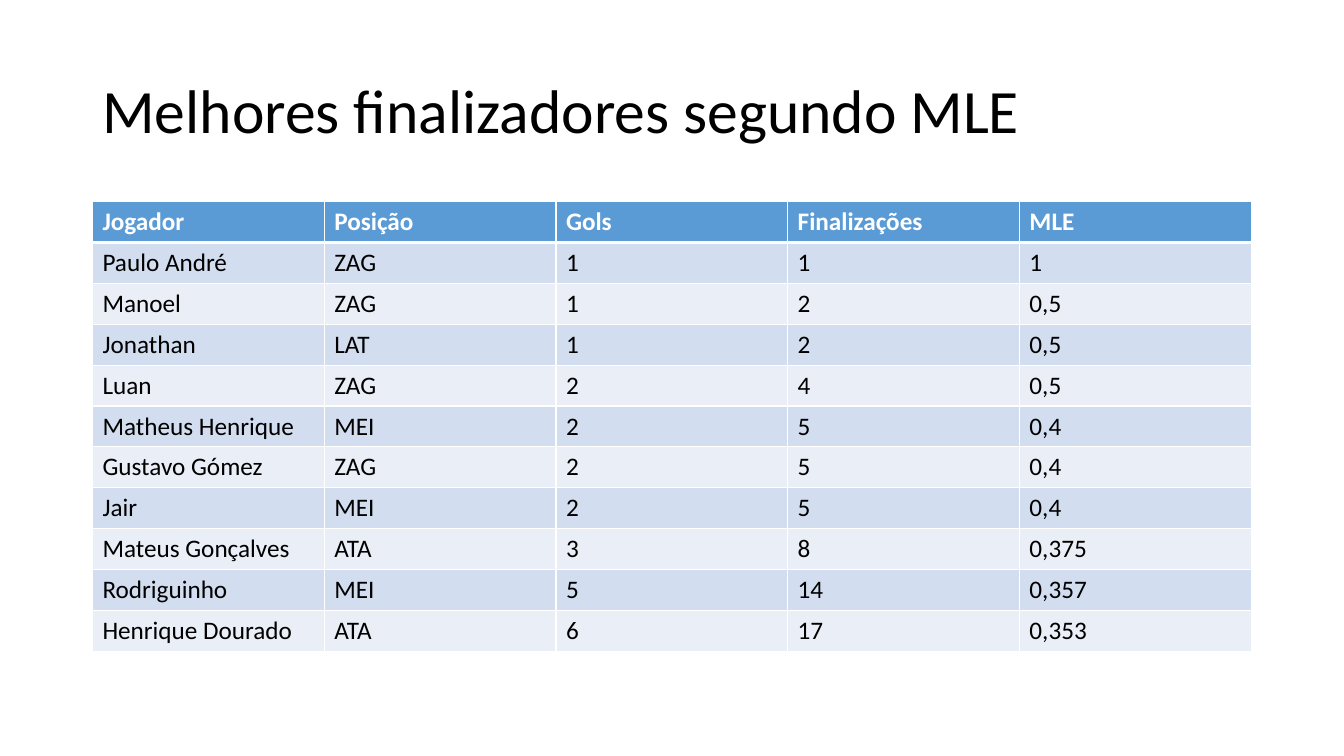
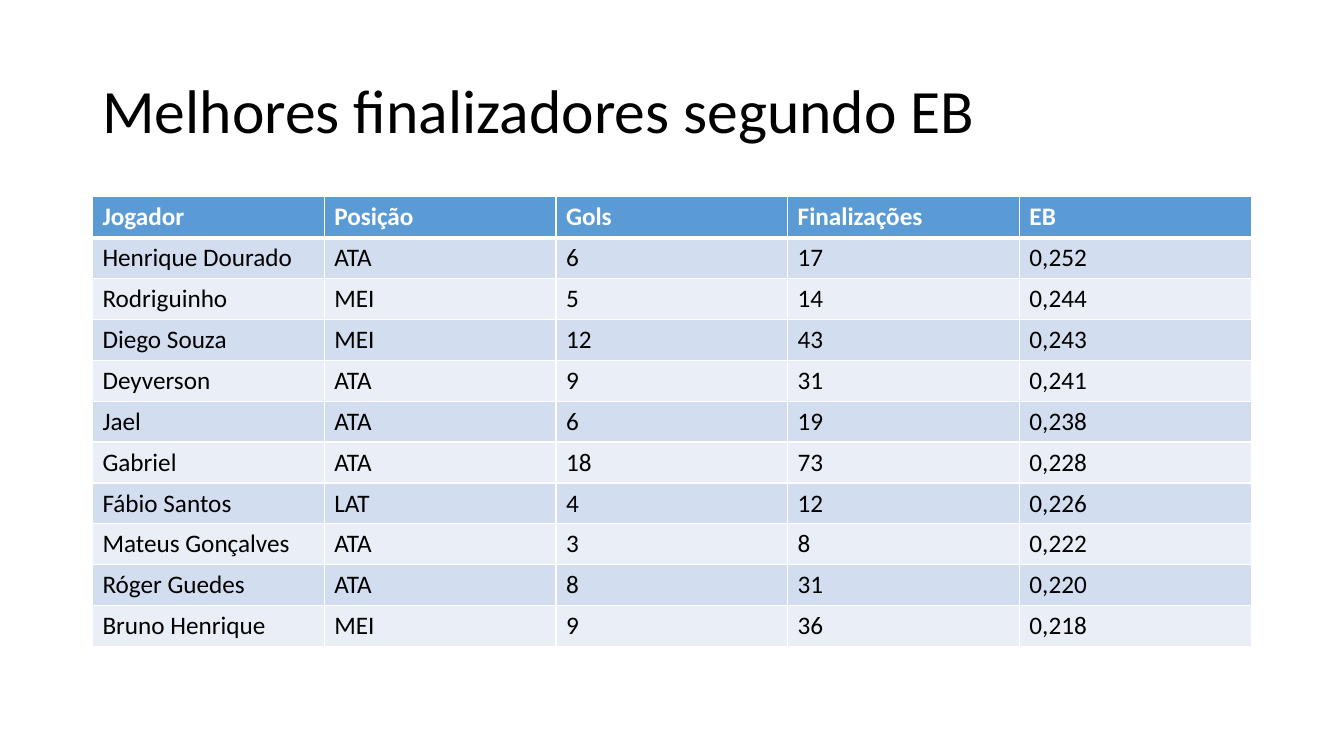
"""Build two ranking slides of the best finishers, by MLE and by EB."""
from dataclasses import dataclass
from typing import NamedTuple

from lxml import etree
from pptx import Presentation
from pptx import presentation as prs
from pptx import table as tbl
from pptx import util as u
from pptx.dml import color
from pptx.enum import text
from pptx.oxml import ns
from pptx.text import text as txt


@dataclass(frozen=True)
class Theme:
    font: str = "Calibri"
    title_size: float = 44
    table_size: float = 18
    ink: str = "000000"
    header_ink: str = "FFFFFF"
    header_fill: str = "5B9BD5"
    bands: tuple[str, str] = ("D2DEEF", "EAEFF7")
    rule: str = "FFFFFF"
    thin: float = 1
    thick: float = 3


class Finisher(NamedTuple):
    player: str
    position: str
    goals: int
    shots: int
    score: str


@dataclass(frozen=True)
class Ranking:
    method: str
    top: float
    finishers: tuple[Finisher, ...]


THEME = Theme()
LEFT, WIDTH = 2.33, 29.2
TITLE_TOP, TITLE_HEIGHT = 1.01, 3.68
ROW_HEIGHT = 1.03

RANKINGS = (
    Ranking("MLE", 5.08, (
        Finisher("Paulo André", "ZAG", 1, 1, "1"),
        Finisher("Manoel", "ZAG", 1, 2, "0,5"),
        Finisher("Jonathan", "LAT", 1, 2, "0,5"),
        Finisher("Luan", "ZAG", 2, 4, "0,5"),
        Finisher("Matheus Henrique", "MEI", 2, 5, "0,4"),
        Finisher("Gustavo Gómez", "ZAG", 2, 5, "0,4"),
        Finisher("Jair", "MEI", 2, 5, "0,4"),
        Finisher("Mateus Gonçalves", "ATA", 3, 8, "0,375"),
        Finisher("Rodriguinho", "MEI", 5, 14, "0,357"),
        Finisher("Henrique Dourado", "ATA", 6, 17, "0,353"),
    )),
    Ranking("EB", 4.96, (
        Finisher("Henrique Dourado", "ATA", 6, 17, "0,252"),
        Finisher("Rodriguinho", "MEI", 5, 14, "0,244"),
        Finisher("Diego Souza", "MEI", 12, 43, "0,243"),
        Finisher("Deyverson", "ATA", 9, 31, "0,241"),
        Finisher("Jael", "ATA", 6, 19, "0,238"),
        Finisher("Gabriel", "ATA", 18, 73, "0,228"),
        Finisher("Fábio Santos", "LAT", 4, 12, "0,226"),
        Finisher("Mateus Gonçalves", "ATA", 3, 8, "0,222"),
        Finisher("Róger Guedes", "ATA", 8, 31, "0,220"),
        Finisher("Bruno Henrique", "MEI", 9, 36, "0,218"),
    )),
)


def write(frame: txt.TextFrame, words: str, *, size: float = THEME.table_size,
          ink: str = THEME.ink, bold: bool = False, spacing: float = 1.0) -> None:
    """Put one formatted paragraph into a text frame."""
    paragraph = frame.paragraphs[0]
    paragraph.line_spacing = spacing
    run = paragraph.add_run()
    run.text = words
    run.font.name = THEME.font
    run.font.size = u.Pt(size)
    run.font.bold = bold
    run.font.color.rgb = color.RGBColor.from_string(ink)


def rule_cell(cell: tbl._Cell, *, top: float, bottom: float) -> None:
    """Draw the four borders of a cell, with widths in points."""
    properties = cell._tc.get_or_add_tcPr()
    widths = {"L": THEME.thin, "R": THEME.thin, "T": top, "B": bottom}
    for index, (side, width) in enumerate(widths.items()):
        line = etree.Element(ns.qn(f"a:ln{side}"), w=str(u.Pt(width)))
        fill = etree.SubElement(line, ns.qn("a:solidFill"))
        etree.SubElement(fill, ns.qn("a:srgbClr"), val=THEME.rule)
        properties.insert(index, line)


def fill_row(table: tbl.Table, row: int, values: tuple) -> None:
    """Write and style one row; row 0 is the header."""
    header = row == 0
    fill = THEME.header_fill if header else THEME.bands[(row - 1) % 2]
    ink = THEME.header_ink if header else THEME.ink
    for column, value in enumerate(values):
        cell = table.cell(row, column)
        cell.fill.solid()
        cell.fill.fore_color.rgb = color.RGBColor.from_string(fill)
        rule_cell(cell, top=THEME.thick if row == 1 else THEME.thin,
                  bottom=THEME.thick if header else THEME.thin)
        write(cell.text_frame, str(value), ink=ink, bold=header)


def add_ranking(deck: prs.Presentation, ranking: Ranking) -> None:
    """Add one slide with its title and ranking table."""
    slide = deck.slides.add_slide(deck.slide_layouts[6])
    title = slide.shapes.add_textbox(u.Cm(LEFT), u.Cm(TITLE_TOP),
                                     u.Cm(WIDTH), u.Cm(TITLE_HEIGHT)).text_frame
    title.word_wrap = True
    title.vertical_anchor = text.MSO_ANCHOR.MIDDLE
    write(title, f"Melhores finalizadores segundo {ranking.method}",
          size=THEME.title_size, spacing=0.9)

    headings = ("Jogador", "Posição", "Gols", "Finalizações", ranking.method)
    rows = (headings, *ranking.finishers)
    table = slide.shapes.add_table(
        len(rows), len(headings), u.Cm(LEFT), u.Cm(ranking.top),
        u.Cm(WIDTH), u.Cm(ROW_HEIGHT * len(rows))).table
    for row, values in enumerate(rows):
        fill_row(table, row, values)


def main() -> None:
    """Build and save the deck."""
    deck = Presentation()
    deck.slide_width, deck.slide_height = u.Cm(33.87), u.Cm(19.05)
    for ranking in RANKINGS:
        add_ranking(deck, ranking)
    deck.save("out.pptx")


if __name__ == "__main__":
    main()
